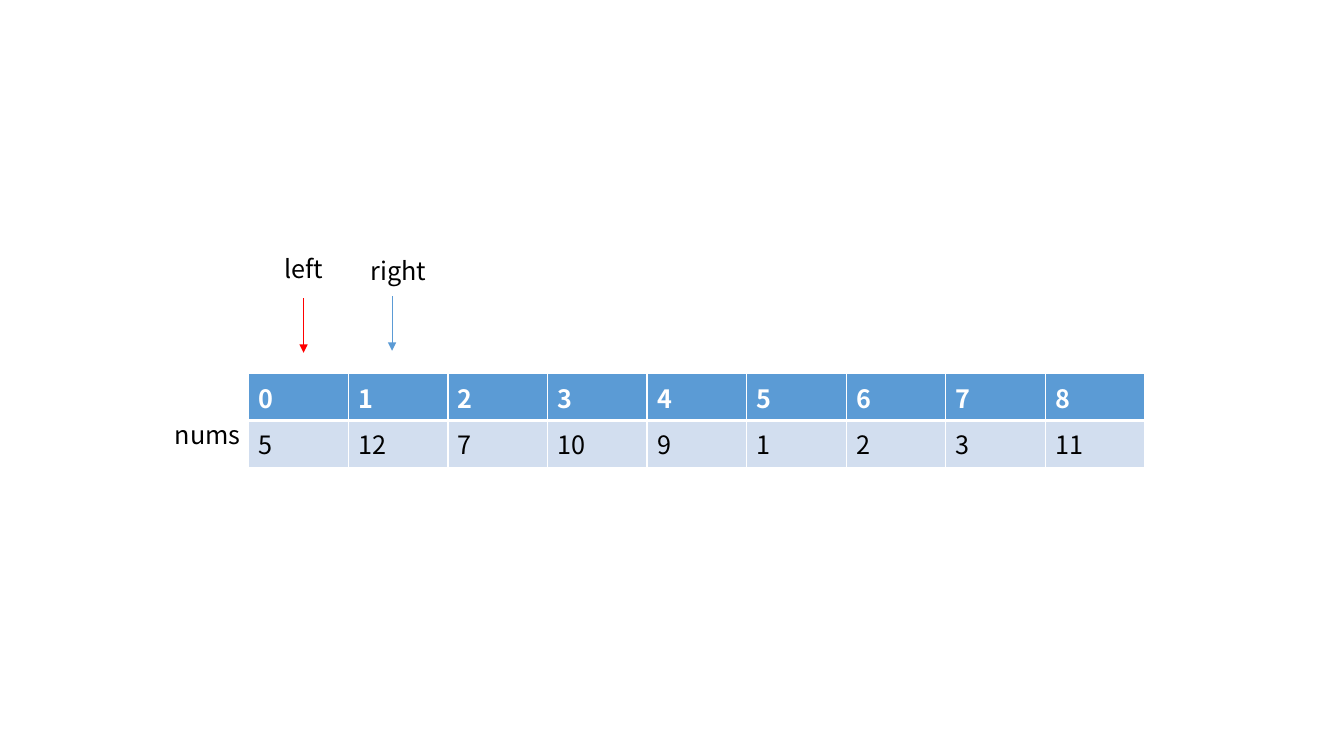
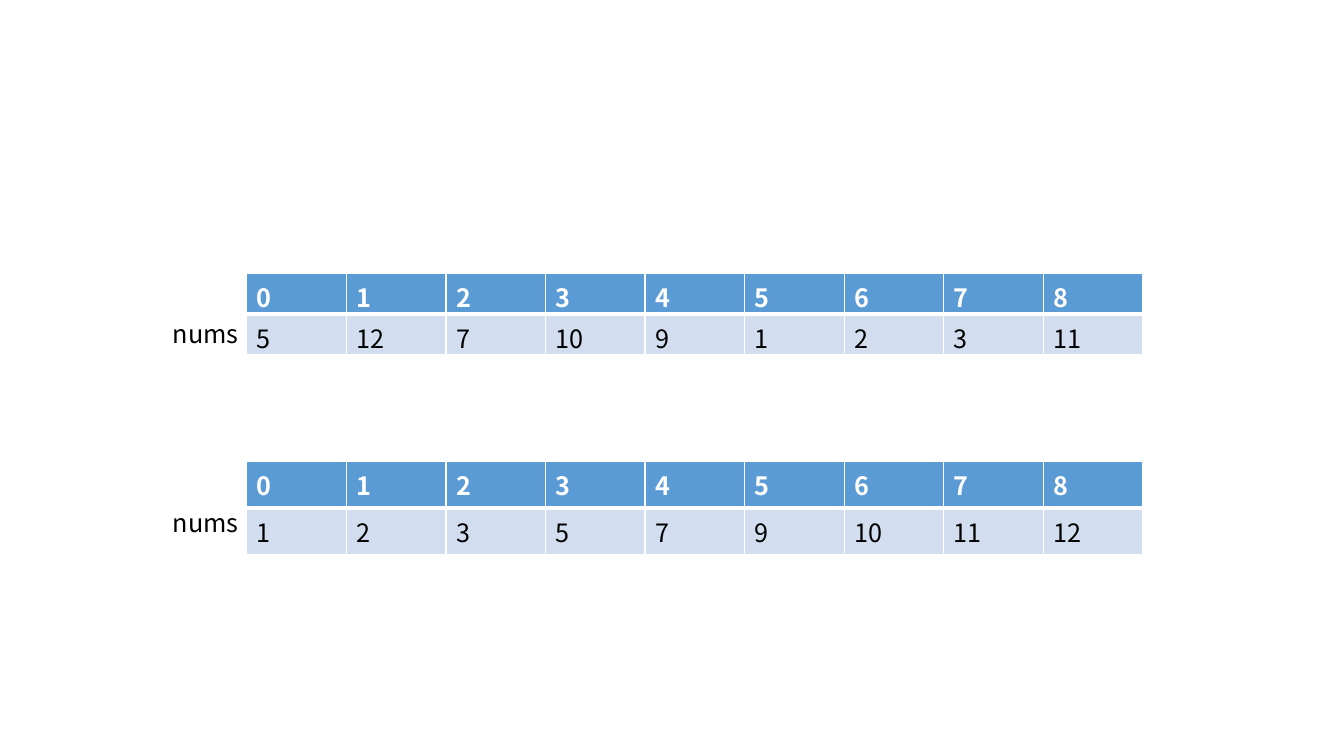
import lxml.etree
import pptx
import pptx.dml.color
import pptx.enum.shapes
import pptx.enum.text
import pptx.oxml.ns
import pptx.util

Cm = pptx.util.Cm
Pt = pptx.util.Pt
qualified = pptx.oxml.ns.qn

BLACK, WHITE, RED = "000000", "FFFFFF", "FF0000"
HEADER_BLUE, ROW_BLUE = "5B9BD5", "D2DEEF"
UNSORTED = [5, 12, 7, 10, 9, 1, 2, 3, 11]


def color(value):
    """Return the RGB colour for a hex string."""
    return pptx.dml.color.RGBColor.from_string(value)


class ArrayDeck:
    """Hold the style and the current slide of the array drawings."""

    text_format = {"name": "Noto Sans CJK KR", "size": Pt(18)}
    column_width = 2.51
    row_height = 1.03
    cell_margin = 0.13

    def __init__(self):
        """Start a widescreen presentation."""
        self.presentation = pptx.Presentation()
        self.presentation.slide_width = Cm(33.87)
        self.presentation.slide_height = Cm(19.05)
        self.slide = None

    def add_slide(self):
        """Add a blank slide and make it current."""
        self.slide = self.presentation.slides.add_slide(self.presentation.slide_layouts[6])

    def set_text(self, text_frame, text, text_color=BLACK, bold=False):
        """Fill a text frame with one formatted paragraph."""
        paragraph = text_frame.paragraphs[0]
        paragraph.text = text
        for name, value in {**self.text_format, "bold": bold}.items():
            setattr(paragraph.font, name, value)
        paragraph.font.color.rgb = color(text_color)

    def label(self, text, left, top, width):
        """Add a text label."""
        shape = self.slide.shapes.add_textbox(Cm(left), Cm(top), Cm(width), Cm(1.02))
        text_frame = shape.text_frame
        text_frame.word_wrap = True
        text_frame.auto_size = pptx.enum.text.MSO_AUTO_SIZE.SHAPE_TO_FIT_TEXT
        self.set_text(text_frame, text)

    def borders(self, cell, widths):
        """Give a cell white borders of the given widths in points."""
        properties = cell._tc.get_or_add_tcPr()
        for side, width in widths.items():
            line = lxml.etree.SubElement(properties, qualified(f"a:ln{side}"), w=str(Pt(width)))
            fill = lxml.etree.SubElement(line, qualified("a:solidFill"))
            lxml.etree.SubElement(fill, qualified("a:srgbClr"), val=WHITE)

    def array(self, values, left, top, bottom_margin=cell_margin):
        """Draw an array as a row of indexes above a row of values."""
        count = len(values)
        table = self.slide.shapes.add_table(
            2, count, Cm(left), Cm(top), Cm(self.column_width * count), Cm(2 * self.row_height)
        ).table
        for column in table.columns:
            column.width = Cm(self.column_width)
        rows = [
            (range(count), HEADER_BLUE, WHITE, True, {"L": 1, "R": 1, "T": 1, "B": 3}),
            (values, ROW_BLUE, BLACK, False, {"L": 1, "R": 1, "T": 3, "B": 1}),
        ]
        for row, (numbers, fill, text_color, bold, widths) in zip(table.rows, rows):
            row.height = Cm(self.row_height)
            for cell, number in zip(row.cells, numbers):
                self.borders(cell, widths)
                cell.fill.solid()
                cell.fill.fore_color.rgb = color(fill)
                cell.margin_bottom = Cm(bottom_margin)
                self.set_text(cell.text_frame, str(number), text_color, bold)
        self.label("nums", left - 2.11, top + 1.02, 3.12)

    def pointer(self, text, label_left, label_top, arrow_x, arrow_top, line_color):
        """Draw a labelled arrow pointing down at an array element."""
        connector = self.slide.shapes.add_connector(
            pptx.enum.shapes.MSO_CONNECTOR.STRAIGHT,
            Cm(arrow_x), Cm(arrow_top), Cm(arrow_x), Cm(arrow_top + 1.37),
        )
        connector.line.color.rgb = color(line_color)
        connector.line.width = Pt(0.5)
        properties = connector.element.spPr
        line = properties.find(qualified("a:ln"))
        lxml.etree.SubElement(line, qualified("a:tailEnd"), type="triangle")
        lxml.etree.SubElement(properties, qualified("a:effectLst"))
        self.label(text, label_left, label_top, 2.77)


def main():
    """Build and save both slides."""
    deck = ArrayDeck()

    deck.add_slide()
    deck.array(UNSORTED, 6.27, 9.42)
    deck.pointer("left", 6.91, 6.27, 7.65, 7.52, RED)
    deck.pointer("right", 9.09, 6.3, 9.88, 7.47, HEADER_BLUE)

    deck.add_slide()
    deck.array(sorted(UNSORTED), 6.22, 11.63)
    deck.array(UNSORTED, 6.22, 6.88, bottom_margin=0)

    deck.presentation.save("out.pptx")


if __name__ == "__main__":
    main()
